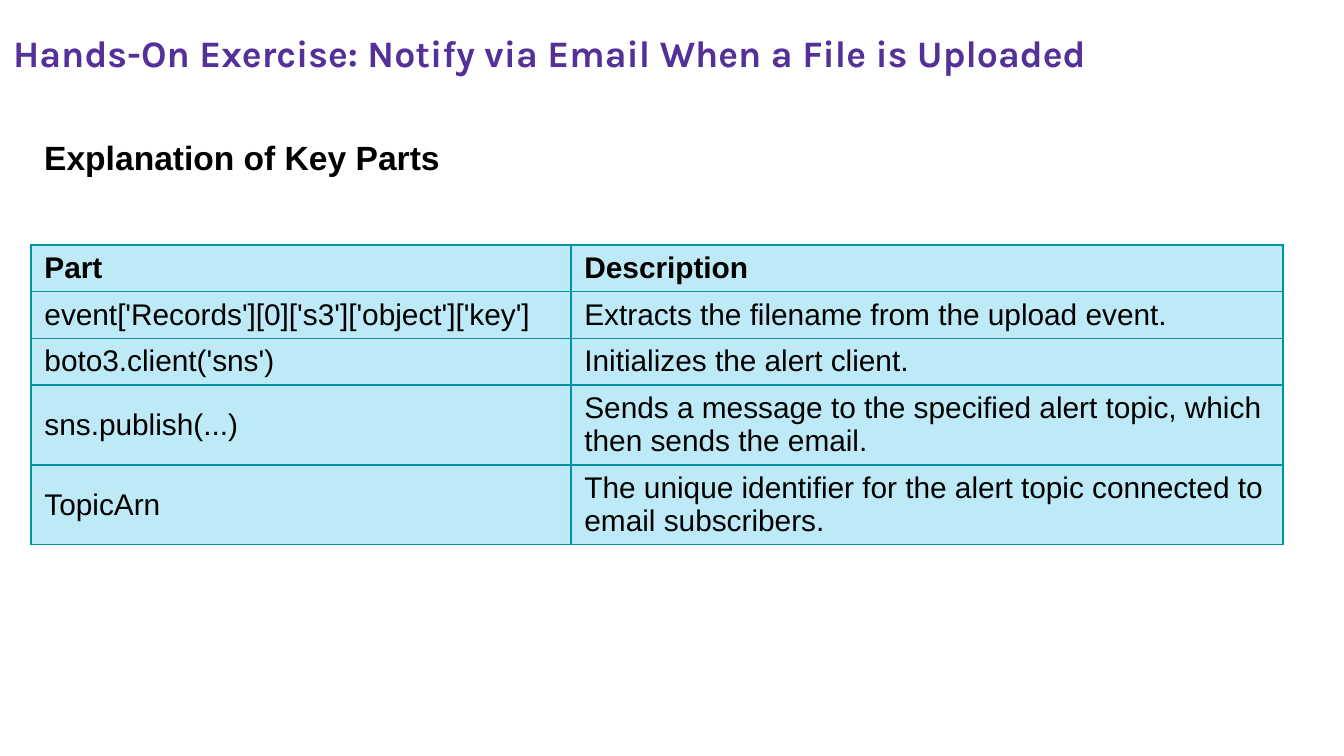
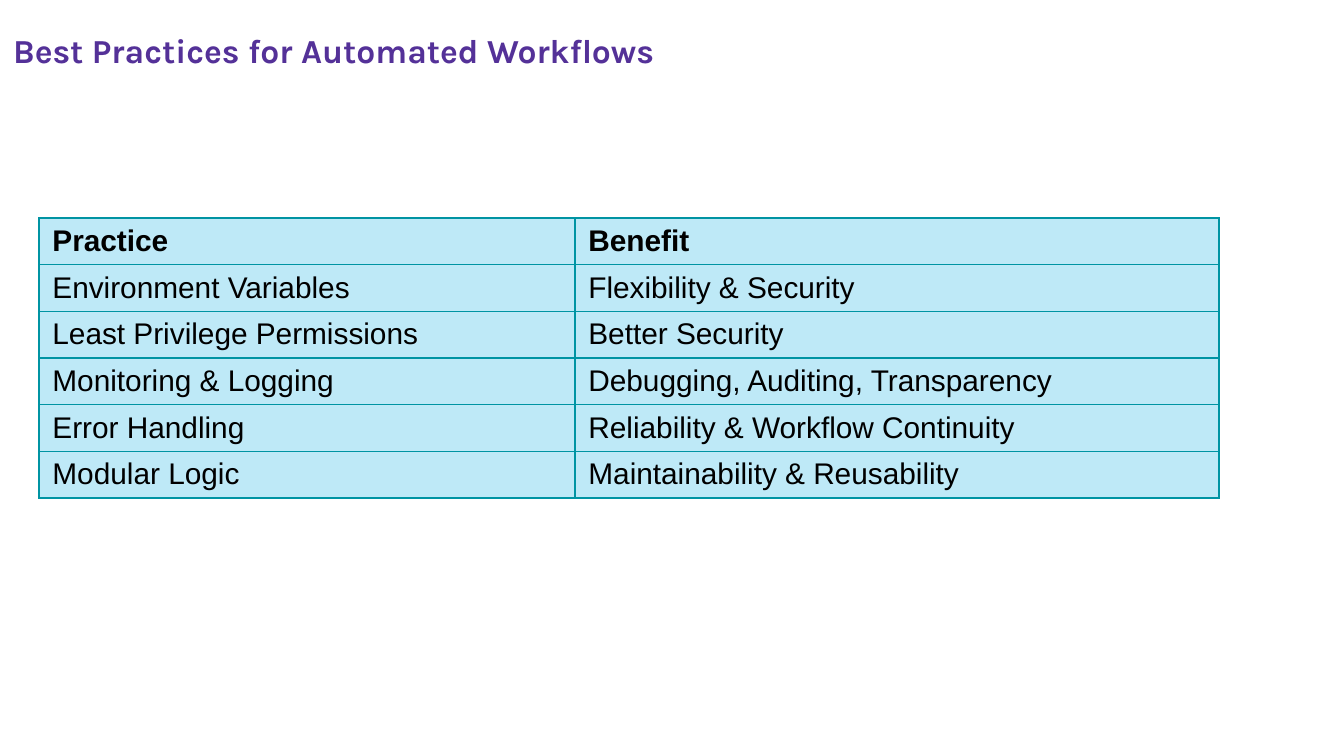
from pptx import Presentation
from pptx.dml.color import RGBColor
from pptx.enum.text import MSO_ANCHOR as Anchor, MSO_AUTO_SIZE as Auto, PP_ALIGN as Align
from pptx.oxml import parse_xml
from pptx.oxml.ns import nsdecls
from pptx.util import Emu, Pt

PURPLE = RGBColor(0x54, 0x31, 0x98)
BLACK = RGBColor(0, 0, 0)
TEAL = RGBColor(0x00, 0x94, 0xA3)
SKY = RGBColor(0xBE, 0xE9, 0xF7)
WIDE, HIGH = 1344, 756
TITLE_BOX = (0, 17, 1284, 93)
HEAD_BOX = (31, 130, 427, 93)
INSET = 13
ROW, LINE = 46, 34

SLIDES = [
    {
        "title": "Hands-On Exercise: Notify via Email When a File is Uploaded",
        "size": 20,
        "head": "Explanation of Key Parts",
        "at": (31, 245),
        "cols": (540, 712),
        "rows": [
            ("Part", "Description", 1),
            ("event['Records'][0]['s3']['object']['key']",
             "Extracts the filename from the upload event.", 1),
            ("boto3.client('sns')", "Initializes the alert client.", 1),
            ("sns.publish(...)",
             "Sends a message to the specified alert topic, which then sends the email.", 2),
            ("TopicArn",
             "The unique identifier for the alert topic connected to email subscribers.", 2),
        ],
    },
    {
        "title": "Best Practices for Automated Workflows",
        "size": 18,
        "head": None,
        "at": (39, 218),
        "cols": (536, 644),
        "rows": [
            ("Practice", "Benefit", 1),
            ("Environment Variables", "Flexibility & Security", 1),
            ("Least Privilege Permissions", "Better Security", 1),
            ("Monitoring & Logging", "Debugging, Auditing, Transparency", 1),
            ("Error Handling", "Reliability & Workflow Continuity", 1),
            ("Modular Logic", "Maintainability & Reusability", 1),
        ],
    },
]


def px(n):
    return Emu(round(n * 914400 / 134.4))


def write(frame, text, size, face="Arial", color=BLACK, bold=True):
    para = frame.paragraphs[0]
    para.alignment = Align.LEFT
    run = para.add_run()
    run.text = text
    font = run.font
    font.name, font.size, font.bold = face, Pt(size), bold
    font.color.rgb = color


def set_title(layout):
    """Give the layout's title the place and insets that all slides share."""
    title = layout.placeholders[0]
    title.left, title.top, title.width, title.height = map(px, TITLE_BOX)
    frame = title.text_frame
    frame.margin_left = frame.margin_right = px(INSET)
    frame.margin_top = frame.margin_bottom = px(INSET)
    frame.vertical_anchor = Anchor.TOP
    frame.auto_size = Auto.NONE
    frame.word_wrap = True


def add_head(slide, text):
    frame = slide.shapes.add_textbox(*map(px, HEAD_BOX)).text_frame
    frame.word_wrap = True
    write(frame, text, 18)


def style(cell):
    props = cell._tc.get_or_add_tcPr()
    for side in "LRTB":
        props.append(parse_xml(
            f'<a:ln{side} {nsdecls("a")} w="{Pt(0.75)}"><a:solidFill>'
            f'<a:srgbClr val="{TEAL}"/></a:solidFill></a:ln{side}>'))
    cell.fill.solid()
    cell.fill.fore_color.rgb = SKY
    cell.vertical_anchor = Anchor.MIDDLE


def add_grid(slide, at, cols, rows):
    highs = [ROW + LINE * (lines - 1) for *_, lines in rows]
    box = map(px, (*at, sum(cols), sum(highs)))
    table = slide.shapes.add_table(len(rows), len(cols), *box).table
    table.horz_banding = False
    for col, wide in zip(table.columns, cols):
        col.width = px(wide)
    for r, (*texts, _) in enumerate(rows):
        table.rows[r].height = px(highs[r])
        for c, text in enumerate(texts):
            cell = table.cell(r, c)
            style(cell)
            write(cell.text_frame, text, 16, bold=r == 0)


def main():
    deck = Presentation()
    deck.slide_width, deck.slide_height = px(WIDE), px(HIGH)
    layout = deck.slide_layouts.get_by_name("Title Only")
    set_title(layout)
    for data in SLIDES:
        slide = deck.slides.add_slide(layout)
        write(slide.shapes.title.text_frame, data["title"], data["size"], "Karla", PURPLE)
        add_grid(slide, data["at"], data["cols"], data["rows"])
        if data["head"]:
            add_head(slide, data["head"])
    deck.save("out.pptx")


if __name__ == "__main__":
    main()
